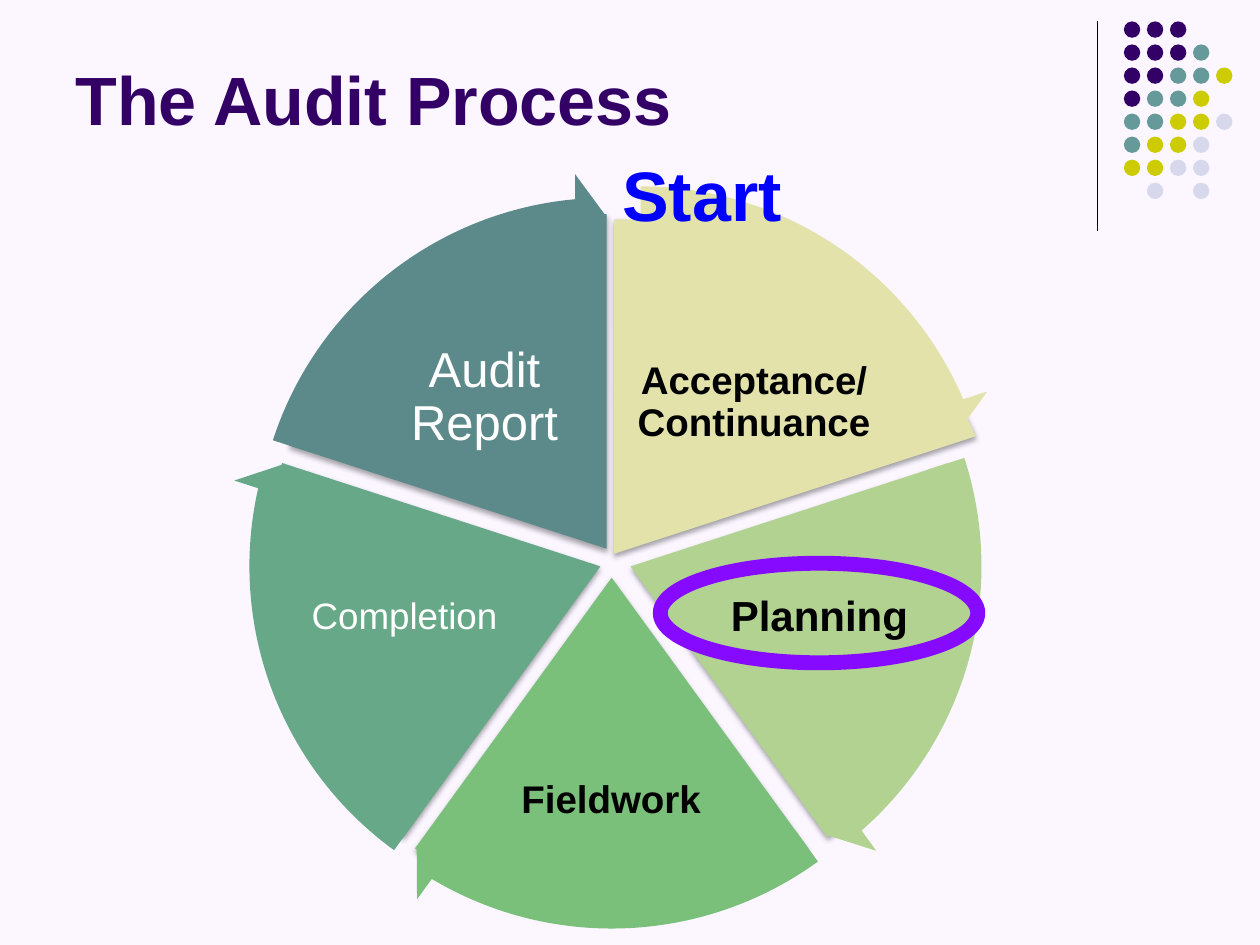
import lxml.etree
import pptx
import pptx.dml.color
import pptx.enum.shapes
import pptx.enum.text
import pptx.oxml.ns
import pptx.util

Inches = pptx.util.Inches
Pt = pptx.util.Pt
RGBColor = pptx.dml.color.RGBColor
SHAPE = pptx.enum.shapes.MSO_SHAPE
ALIGN = pptx.enum.text.PP_ALIGN
ANCHOR = pptx.enum.text.MSO_ANCHOR
qn = pptx.oxml.ns.qn

BACKGROUND = RGBColor(0xFB, 0xF6, 0xFF)
PURPLE = RGBColor(0x33, 0x00, 0x66)
TEAL = RGBColor(0x66, 0x99, 0x99)
YELLOW = RGBColor(0xCC, 0xCC, 0x00)
LAVENDER = RGBColor(0xD8, 0xD8, 0xEC)
VIOLET = RGBColor(0x85, 0x0A, 0xFF)
BLUE = RGBColor(0x00, 0x00, 0xFF)
BLACK = RGBColor(0x00, 0x00, 0x00)
WHITE = RGBColor(0xFF, 0xFF, 0xFF)
SAND = RGBColor(0xE2, 0xE2, 0xAA)
LIME = RGBColor(0xB1, 0xD2, 0x91)
GREEN = RGBColor(0x7A, 0xBF, 0x7A)
SEA = RGBColor(0x67, 0xA8, 0x88)
SLATE = RGBColor(0x5C, 0x8A, 0x8A)

DOT_COLORS = {"P": PURPLE, "T": TEAL, "Y": YELLOW, "L": LAVENDER}
DOT_ROWS = ["PPP", "PPPT", "PPTTY", "PTTY", "TTYYL", "TYYL", "YYLL", " L L"]

# Wheel steps: label, fill, pie box, arrow corner, label box, size, colour, bold, alignment.
# Boxes are offsets from the wheel's corner.
STEPS = [
    ("Acceptance/ Continuance", SAND, (0.01, 0.44, 6.13, 5.31), (0.3, -0.02),
     (3.2, 1.33, 1.97, 1.14), 22, BLACK, True, ALIGN.CENTER),
    ("Planning", LIME, (0.55, 0.54, 5.31, 5.31), (0.22, 0.21),
     (3.97, 2.97, 1.58, 1.27), 24, BLACK, True, ALIGN.LEFT),
    ("Fieldwork", GREEN, (0.4, 0.63, 5.31, 5.31), (0.07, 0.3),
     (2.29, 4.36, 1.52, 1.39), 22, BLACK, True, ALIGN.CENTER),
    ("Completion", SEA, (0.31, 0.54, 5.31, 5.31), (-0.02, 0.21),
     (0.62, 2.97, 1.58, 1.27), 21, WHITE, False, ALIGN.CENTER),
    ("Audit Report", SLATE, (0.36, 0.4, 5.31, 5.31), (0.03, 0.07),
     (1.19, 1.29, 1.71, 1.14), 28, WHITE, False, ALIGN.CENTER),
]
ARROW_SIZE = 5.97


def add_figure(page, kind, box, fill=None):
    figure = page.shapes.add_shape(kind, *map(Inches, box))
    figure.shadow.inherit = False
    figure.line.fill.background()
    if fill is None:
        figure.fill.background()
    else:
        figure.fill.solid()
        figure.fill.fore_color.rgb = fill
    return figure


def add_label(page, box, text, size, color, bold=True, align=ALIGN.LEFT,
              anchor=ANCHOR.TOP, margin=None, spacing=None):
    label = page.shapes.add_textbox(*map(Inches, box))
    frame = label.text_frame
    frame.word_wrap = True
    frame.vertical_anchor = anchor
    if margin is not None:
        frame.margin_left = frame.margin_right = Inches(margin)
        frame.margin_top = frame.margin_bottom = Inches(margin)
    frame.text = text
    para = frame.paragraphs[0]
    para.alignment = align
    if spacing:
        para.line_spacing = spacing
    font = para.runs[0].font
    font.name, font.size, font.bold = "Arial", Pt(size), bold
    font.color.rgb = color


def add_soft_shadow(figure):
    effects = figure._element.spPr.find(qn("a:effectLst"))
    shadow = lxml.etree.SubElement(effects, qn("a:outerShdw"), blurRad=str(Pt(3.1)),
                                   dist=str(Pt(1.8)), dir="5400000", rotWithShape="0")
    color = lxml.etree.SubElement(shadow, qn("a:srgbClr"), val="000000")
    lxml.etree.SubElement(color, qn("a:alpha"), val="35000")


def angle(degrees):
    """Turn degrees into the adjustment value of a preset shape."""
    return degrees % 360 * 0.6


def draw_corner(page, box):
    """Vertical rule with a grid of dots to its right."""
    left, top, height = box
    rule = page.shapes.add_connector(pptx.enum.shapes.MSO_CONNECTOR.STRAIGHT, Inches(left),
                                     Inches(top), Inches(left), Inches(top + height))
    rule.line.color.rgb = BLACK
    rule.line.width = Pt(0.75)
    lxml.etree.SubElement(rule._element.spPr, qn("a:effectLst"))
    pitch = 1.28 / 7
    for row, codes in enumerate(DOT_ROWS):
        for column, code in enumerate(codes):
            if code in DOT_COLORS:
                dot = (left + 0.21 + column * pitch, top + row * pitch, 0.13, 0.13)
                add_figure(page, SHAPE.OVAL, dot, DOT_COLORS[code])


def draw_wheel(page, box):
    """Five pie slices with labels, then the arrows around them."""
    left, top = box
    for index, (text, fill, pie, _, place, size, color, bold, align) in enumerate(STEPS):
        start = 270 + 72 * index
        piece = add_figure(page, SHAPE.PIE, (left + pie[0], top + pie[1], *pie[2:]), fill)
        piece.adjustments[0] = angle(start)
        piece.adjustments[1] = angle(start + 72)
        add_soft_shadow(piece)
        add_label(page, (left + place[0], top + place[1], *place[2:]), text, size, color,
                  bold, align, ANCHOR.MIDDLE, 0.03, 0.9)
    for index, (_, fill, _, corner, *_) in enumerate(STEPS):
        start = 270 + 72 * index
        arrow = add_figure(page, SHAPE.CIRCULAR_ARROW,
                           (left + corner[0], top + corner[1], ARROW_SIZE, ARROW_SIZE), fill)
        values = (0.051, angle(5.46), angle(start + 66.54), angle(start), 0.059)
        for position, value in enumerate(values):
            arrow.adjustments[position] = value


def draw_marks(page, ring_box, start_box):
    """Ring around the current step and the start caption."""
    ring = add_figure(page, SHAPE.OVAL, ring_box)
    ring.line.color.rgb = VIOLET
    ring.line.width = Pt(8.5)
    add_label(page, start_box, "Start", 40, BLUE)


def main():
    deck = pptx.Presentation()
    deck.slide_width, deck.slide_height = Inches(10), Inches(7.5)
    page = deck.slides.add_slide(deck.slide_layouts[6])
    page.background.fill.solid()
    page.background.fill.fore_color.rgb = BACKGROUND

    draw_corner(page, (8.71, 0.17, 1.66))
    add_label(page, (0.5, 0.13, 8.25, 1.02), "The Audit Process", 39, PURPLE,
              anchor=ANCHOR.BOTTOM)
    draw_wheel(page, (1.8, 1.3))
    draw_marks(page, (5.24, 4.47, 2.52, 0.79), (4.84, 1.15, 1.65, 0.77))
    deck.save("out.pptx")


if __name__ == "__main__":
    main()
